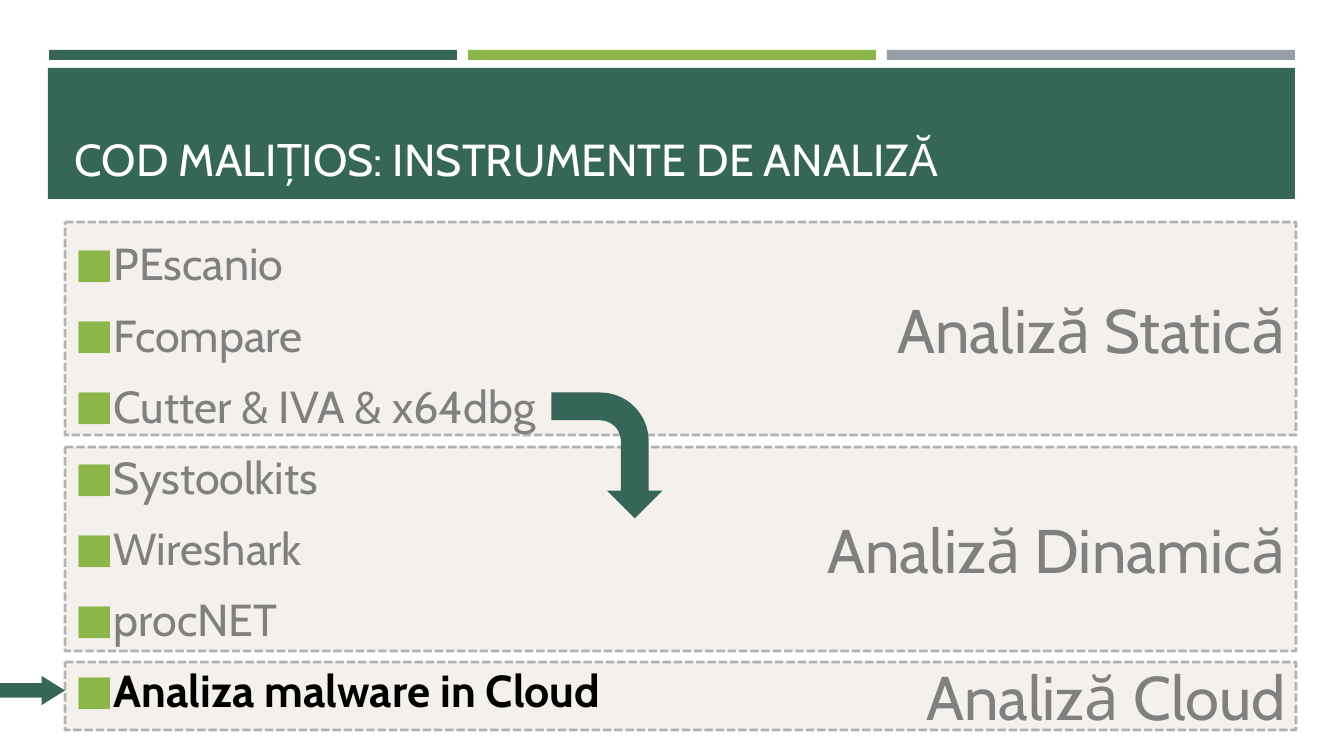
from pptx import Presentation
from pptx.dml.color import RGBColor
from pptx.enum.dml import MSO_LINE
from pptx.enum.shapes import MSO_SHAPE
from pptx.enum.text import MSO_ANCHOR, PP_ALIGN
from pptx.util import Emu, Pt
from pptx.oxml.ns import qn
from lxml.etree import SubElement

theme = {
    "font": "Cabin", "green": "366658", "lime": "8CB64A", "steel": "969FA7",
    "brown": "794117", "gray": "808080", "white": "FFFFFF", "black": "000000",
    "body": 32, "label": 44, "before": 6.4, "after": 6,
}
SCALE = 914400 / 100.8


def px(*nums):
    return [Emu(round(num * SCALE)) for num in nums]


def write(para, text, size, color, bold=False):
    run = para.add_run()
    run.text = text
    run.font.name = theme["font"]
    run.font.size = Pt(theme[size])
    run.font.color.rgb = RGBColor.from_string(theme[color])
    run.font.bold = bold


deck = Presentation()
deck.slide_width, deck.slide_height = px(1344, 756)
slide = deck.slides.add_slide(deck.slide_layouts[6])
shapes = slide.shapes

solids = [
    (MSO_SHAPE.RECTANGLE, (48, 68, 1247, 131), "green", 0),
    (MSO_SHAPE.RIGHT_ARROW, (0, 676, 65, 29), "green", 0),
    (MSO_SHAPE.BENT_ARROW, (544, 400, 126, 111), "green", 90),
]
for col, color in enumerate(("green", "lime", "steel")):
    solids.append((MSO_SHAPE.RECTANGLE, (49 + 419 * col, 50, 408, 10), color, 0))

panels = [
    ("Analiză Statică", 222, 213),
    ("Analiză Dinamică", 447, 204),
    ("Analiză Cloud", 662, 68),
]
for label, top, height in panels:
    panel = shapes.add_shape(MSO_SHAPE.FLOWCHART_PROCESS, *px(65, top, 1231, height))
    panel.shadow.inherit = False
    panel.fill.solid()
    panel.fill.fore_color.rgb = RGBColor.from_string(theme["brown"])
    panel.line.color.rgb = RGBColor.from_string(theme["gray"])
    panel.line.width = Pt(2)
    panel.line.dash_style = MSO_LINE.SQUARE_DOT
    tints = panel._element.spPr.iter(qn("a:srgbClr"))
    for tint, alpha in zip(tints, ("8000", "59000")):
        SubElement(tint, qn("a:alpha"), val=alpha)
    panel.text_frame.vertical_anchor = MSO_ANCHOR.MIDDLE
    para = panel.text_frame.paragraphs[0]
    para.alignment = PP_ALIGN.RIGHT
    write(para, label, "label", "gray")

for kind, place, color, turn in solids:
    solid = shapes.add_shape(kind, *px(*place))
    solid.shadow.inherit = False
    solid.fill.solid()
    solid.fill.fore_color.rgb = RGBColor.from_string(theme[color])
    solid.line.fill.background()
    solid.rotation = turn
    if kind == MSO_SHAPE.RIGHT_ARROW:
        solid.adjustments[1] = 0.8

title = shapes.add_textbox(*px(65, 78, 1216, 112)).text_frame
title.word_wrap = True
title.vertical_anchor = MSO_ANCHOR.BOTTOM
write(title.paragraphs[0], "COD MALIȚIOS: INSTRUMENTE DE ANALIZĂ", "body", "white")

tools = [
    "PEscanio", "Fcompare", "Cutter & IVA & x64dbg", "Systoolkits",
    "Wireshark", "procNET", "Analiza malware in Cloud",
]
body = shapes.add_textbox(*px(65, 254, 651, 436)).text_frame
body.word_wrap = True
body.vertical_anchor = MSO_ANCHOR.MIDDLE
body.margin_top = px(14)[0]
indent = px(33)[0]
for row, tool in enumerate(tools):
    para = body.add_paragraph() if row else body.paragraphs[0]
    props = para._p.get_or_add_pPr()
    props.set("marL", str(indent))
    props.set("indent", str(-indent))
    tint = SubElement(props, qn("a:buClr"))
    SubElement(tint, qn("a:srgbClr"), val=theme["lime"])
    SubElement(props, qn("a:buSzPct"), val="92000")
    SubElement(props, qn("a:buFont"), typeface=theme["font"])
    SubElement(props, qn("a:buChar"), char="■")
    para.space_before = Pt(theme["before"] if row else 0)
    para.space_after = Pt(theme["after"])
    last = tool == tools[-1]
    write(para, tool, "body", "black" if last else "gray", last)

deck.save("out.pptx")
